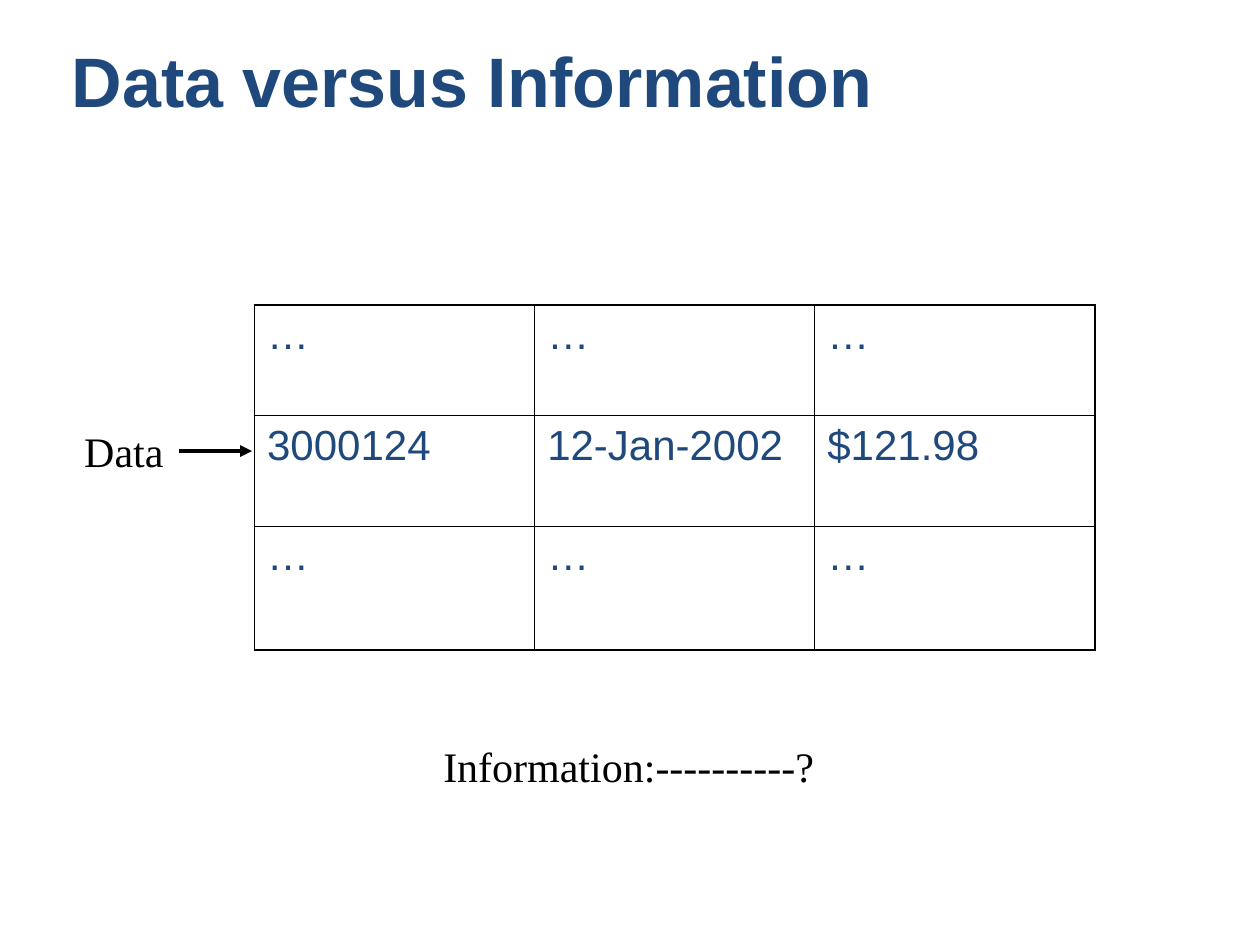
from lxml.etree import SubElement
from pptx import Presentation
from pptx.dml.color import RGBColor
from pptx.enum.shapes import MSO_CONNECTOR
from pptx.enum.text import MSO_ANCHOR, MSO_AUTO_SIZE, PP_ALIGN
from pptx.oxml import parse_xml
from pptx.oxml.ns import nsdecls, qn
from pptx.util import Inches, Pt

NAVY, BLACK = "1F497D", "000000"
OUTER_LINE, INNER_LINE = 1.08, 0.45
RECORDS = [
    ["…", "…", "…"],
    ["3000124", "12-Jan-2002", "$121.98"],
    ["…", "…", "…"],
]
ROW_HEIGHTS = [0.88, 0.88, 0.98]


def color(value):
    return RGBColor.from_string(value)


def inches(*lengths):
    return [Inches(length) for length in lengths]


def format_text(frame, font_name, size, hex_color, bold=False):
    for paragraph in frame.paragraphs:
        paragraph.alignment = PP_ALIGN.LEFT
        for run in paragraph.runs:
            run.font.name = font_name
            run.font.size = Pt(size)
            run.font.bold = bold
            run.font.color.rgb = color(hex_color)


def add_title(slide, box, words):
    title = slide.shapes.title
    title.left, title.top, title.width, title.height = inches(*box)
    frame = title.text_frame
    frame.text = words
    frame.word_wrap = True
    frame.auto_size = MSO_AUTO_SIZE.NONE
    frame.vertical_anchor = MSO_ANCHOR.TOP
    format_text(frame, "Arial", 40, NAVY, bold=True)


def add_label(slide, box, words, wrap):
    frame = slide.shapes.add_textbox(*inches(*box)).text_frame
    frame.text = words
    frame.word_wrap = wrap
    frame.auto_size = MSO_AUTO_SIZE.SHAPE_TO_FIT_TEXT
    format_text(frame, "Times New Roman", 24, BLACK)


def set_borders(cell, widths):
    properties = cell._tc.get_or_add_tcPr()
    for position, (side, width) in enumerate(widths.items()):
        border = parse_xml(
            f'<a:ln{side} {nsdecls("a")} w="{Pt(width)}"><a:solidFill>'
            f'<a:srgbClr val="{BLACK}"/></a:solidFill></a:ln{side}>'
        )
        properties.insert(position, border)


def add_records(slide, box, records):
    last_row, last_column = len(records) - 1, len(records[0]) - 1
    table = slide.shapes.add_table(
        len(records), len(records[0]), *inches(*box)
    ).table
    table.first_row = table.horz_banding = False
    for row, height in zip(table.rows, ROW_HEIGHTS):
        row.height = Inches(height)
    for r, record in enumerate(records):
        for c, value in enumerate(record):
            cell = table.cell(r, c)
            cell.fill.background()
            cell.text_frame.text = value
            cell.text_frame.paragraphs[0].space_before = Pt(6)
            format_text(cell.text_frame, "Arial", 24, NAVY)
            on_edge = {
                "L": c == 0,
                "R": c == last_column,
                "T": r == 0,
                "B": r == last_row,
            }
            set_borders(cell, {
                side: OUTER_LINE if edge else INNER_LINE
                for side, edge in on_edge.items()
            })


def add_arrow(slide, start, end):
    arrow = slide.shapes.add_connector(
        MSO_CONNECTOR.STRAIGHT, *inches(*start, *end)
    )
    arrow.line.color.rgb = color(BLACK)
    arrow.line.width = Pt(2.25)
    SubElement(arrow.line._get_or_add_ln(), qn("a:tailEnd"), type="triangle")
    SubElement(arrow._element.spPr, qn("a:effectLst"))


def main():
    deck = Presentation()
    deck.slide_width, deck.slide_height = inches(10, 7.5)
    slide = deck.slides.add_slide(deck.slide_layouts[5])
    add_records(slide, (2.02, 2.42, 6.67, 2.74), RECORDS)
    add_label(slide, (0.57, 3.33, 0.83, 0.5), "Data", wrap=False)
    add_arrow(slide, (1.42, 3.58), (2, 3.58))
    add_title(slide, (0.47, 0.25, 9.05, 1.33), "Data versus Information")
    add_label(slide, (3.42, 5.83, 3.67, 0.5), "Information:----------?", wrap=True)
    deck.save("out.pptx")


if __name__ == "__main__":
    main()
